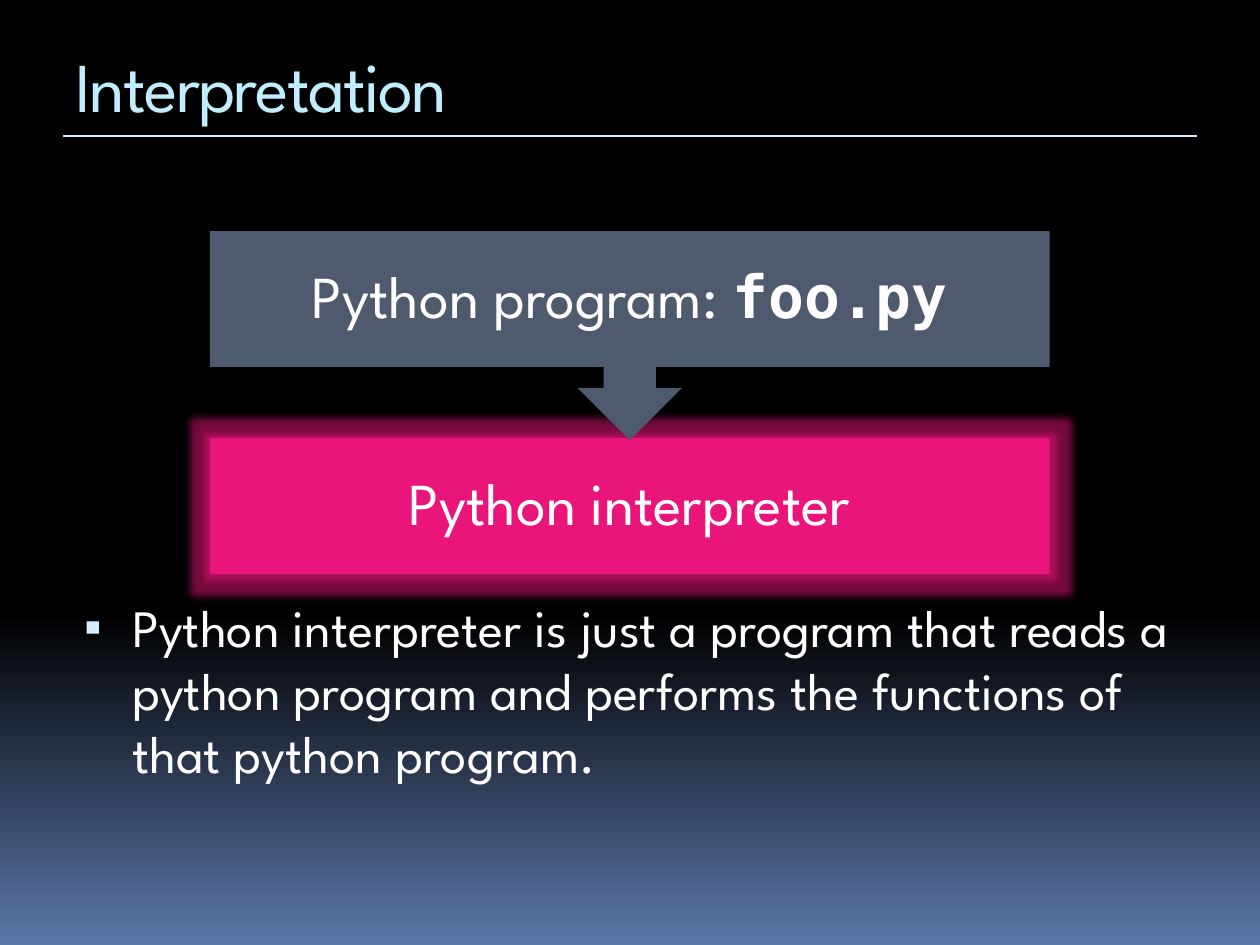
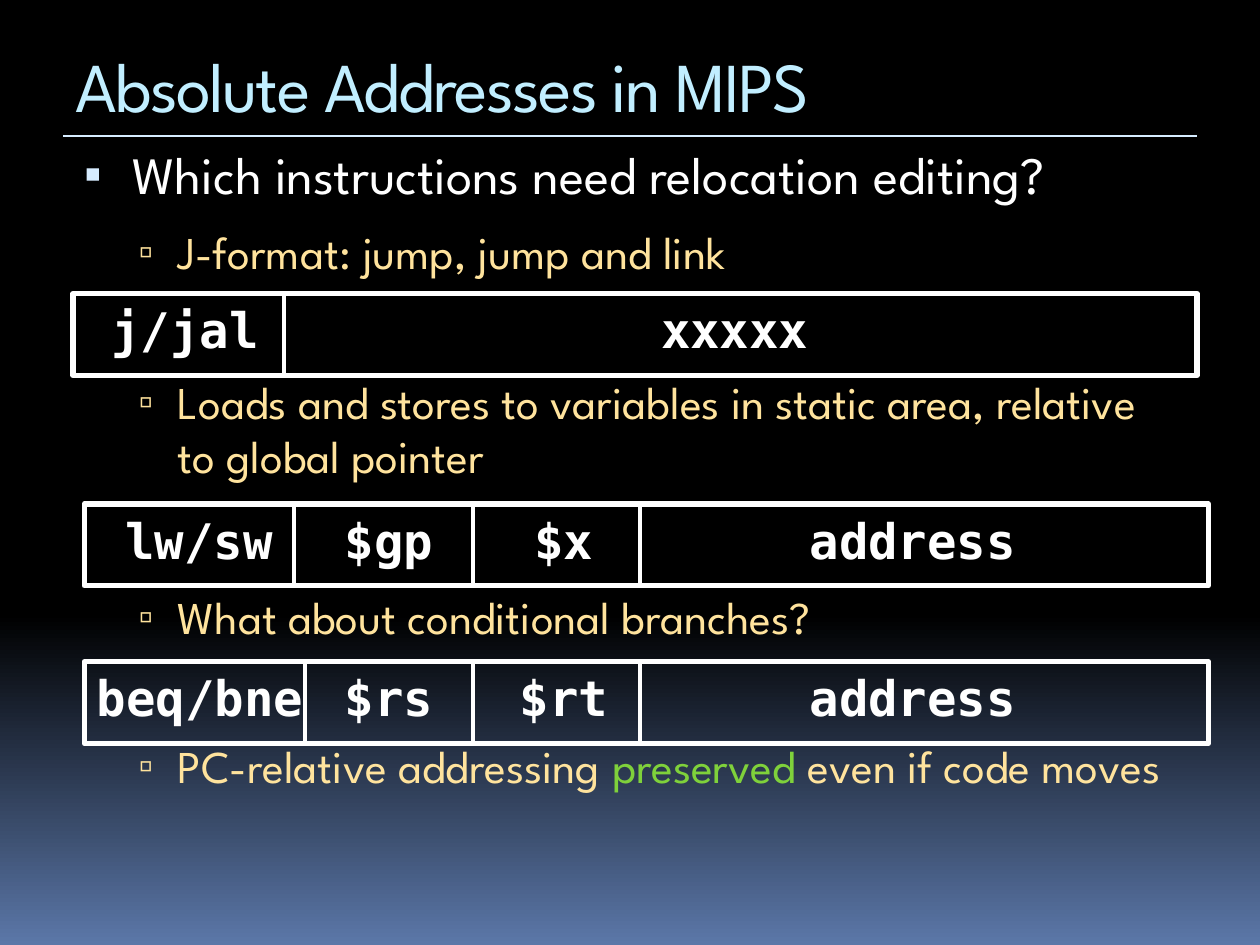
import pptx
import pptx.util
import pptx.dml.color
import pptx.enum.shapes
import pptx.enum.text
import pptx.oxml
import pptx.oxml.ns
import lxml.etree

Cm = pptx.util.Cm
Pt = pptx.util.Pt
RGB = pptx.dml.color.RGBColor
qn = pptx.oxml.ns.qn
SHAPE = pptx.enum.shapes.MSO_SHAPE
MIDDLE = pptx.enum.text.MSO_ANCHOR.MIDDLE
CENTER = pptx.enum.text.PP_ALIGN.CENTER
NO_FIT = pptx.enum.text.MSO_AUTO_SIZE.NONE

BLACK = RGB(0x00, 0x00, 0x00)
WHITE = RGB(0xFF, 0xFF, 0xFF)
BLUE = RGB(0x5B, 0x77, 0xA8)
PALE = RGB(0xD6, 0xEC, 0xFF)
SKY = RGB(0xC1, 0xEE, 0xFF)
CREAM = RGB(0xFF, 0xE3, 0x9D)
GREEN = RGB(0x7F, 0xD1, 0x3B)
PINK = RGB(0xEA, 0x15, 0x7A)
SLATE = RGB(0x4E, 0x5B, 0x6F)
SANS = "League Spartan"
MONO = "DejaVu Sans Mono"


def write(para, text, size=30, color=WHITE, font=SANS, bold=False, track=0):
    """Add a formatted run of text to a paragraph."""
    run = para.add_run()
    run.text = text
    run.font.size = Pt(size)
    run.font.color.rgb = color
    run.font.name = font
    run.font.bold = bold
    if track:
        run.font._element.set("spc", str(track))


def rule(slide, start, end, color, width):
    """Draw a straight line between two points given in centimetres."""
    line = slide.shapes.add_connector(
        pptx.enum.shapes.MSO_CONNECTOR.STRAIGHT,
        Cm(start[0]), Cm(start[1]), Cm(end[0]), Cm(end[1]))
    line.line.color.rgb = color
    line.line.width = Pt(width)
    lxml.etree.SubElement(line._element.spPr, qn("a:effectLst"))


deck = pptx.Presentation()
deck.slide_width, deck.slide_height = Cm(25.4), Cm(19.05)

# The backdrop stays black for two thirds, then fades to blue.
back = deck.slide_master.background.fill
back.gradient()
back.gradient_angle = 270
for stop, place, color in zip(back.gradient_stops, (0.65, 1), (BLACK, BLUE)):
    stop.position = place
    stop.color.rgb = color

# Title, top of the body, then list items: level, space before, coloured runs.
LEFT, WIDTH = 1.27, 22.86
HEAD, FOOT = 2.74, 17.65
PAGES = [
    ("Interpretation", 11.86, [
        (0, 7, [("Python interpreter is just a program that reads a python "
                 "program and performs the functions of that python program.",
                 WHITE)]),
    ]),
    ("Absolute Addresses in MIPS", HEAD, [
        (0, 7, [("Which instructions need relocation editing?", WHITE)]),
        (1, 5, [("J-format: jump, jump and link", CREAM)]),
        (1, 48, [("Loads and stores to variables in static area, relative "
                  "to global pointer", CREAM)]),
        (1, 54.5, [("What about conditional branches?", CREAM)]),
        (1, 48, [("PC-relative addressing ", CREAM), ("preserved ", GREEN),
                 ("even if code moves", CREAM)]),
    ]),
]
# By level: text size, indent, hang, bullet, bullet size and bullet colour.
LEVELS = [(30, 1.14, 0.97, "▪", 95, PALE), (26, 2.06, 0.79, "▫", 90, CREAM)]

for name, top, items in PAGES:
    slide = deck.slides.add_slide(deck.slide_layouts[1])
    rule(slide, (LEFT, HEAD), (LEFT + WIDTH, HEAD), PALE, 1.5)

    title = slide.shapes.title
    title.left, title.top = Cm(LEFT), Cm(0.64)
    title.width, title.height = Cm(WIDTH), Cm(2.11)
    title.text_frame.vertical_anchor = MIDDLE
    title.text_frame.auto_size = NO_FIT
    para = title.text_frame.paragraphs[0]
    para.alignment = pptx.enum.text.PP_ALIGN.LEFT
    write(para, name, size=40, color=SKY, track=-100)

    body = slide.placeholders[1]
    body.left, body.top = Cm(LEFT), Cm(top)
    body.width, body.height = Cm(WIDTH), Cm(FOOT - top)
    frame = body.text_frame
    frame.auto_size = NO_FIT
    for index, (level, gap, runs) in enumerate(items):
        para = frame.add_paragraph() if index else frame.paragraphs[0]
        size, indent, hang, mark, scale, tint = LEVELS[level]
        para.level = level
        para.space_before, para.space_after = Pt(gap), Pt(6)
        props = para._element.get_or_add_pPr()
        props.set("marL", str(Cm(indent)))
        props.set("indent", str(-Cm(hang)))
        shade = lxml.etree.SubElement(props, qn("a:buClr"))
        lxml.etree.SubElement(shade, qn("a:srgbClr"), val=str(tint))
        lxml.etree.SubElement(props, qn("a:buSzPct"), val=str(scale * 1000))
        lxml.etree.SubElement(props, qn("a:buFont"), typeface="Arial")
        lxml.etree.SubElement(props, qn("a:buChar"), char=mark)
        for text, color in runs:
            write(para, text, size=size, color=color)

first, second = deck.slides

# Slide 1: the program flows down into the glowing interpreter.
BOX_X, BOX_W, BOX_H = 4.23, 16.93, 2.74
FLOW = [
    (SHAPE.RECTANGLE, 8.83, BOX_H, PINK, [("Python interpreter", SANS)]),
    (SHAPE.UP_ARROW_CALLOUT, 4.66, 4.21, SLATE,
     [("Python program: ", SANS), ("foo.py", MONO)]),
]
for kind, top, height, color, runs in FLOW:
    step = first.shapes.add_shape(kind, Cm(BOX_X), Cm(top), Cm(BOX_W), Cm(height))
    step.shadow.inherit = False
    step.fill.solid()
    step.fill.fore_color.rgb = color
    step.line.fill.background()
    if kind == SHAPE.UP_ARROW_CALLOUT:
        step.rotation = 180
    else:
        effect = step._element.spPr.find(qn("a:effectLst"))
        glow = lxml.etree.SubElement(effect, qn("a:glow"), rad=str(Cm(0.28)))
        shade = lxml.etree.SubElement(glow, qn("a:srgbClr"), val=str(color))
        lxml.etree.SubElement(shade, qn("a:alpha"), val="50000")

    label = first.shapes.add_textbox(Cm(BOX_X), Cm(top), Cm(BOX_W), Cm(BOX_H))
    label.text_frame.word_wrap = True
    label.text_frame.vertical_anchor = MIDDLE
    para = label.text_frame.paragraphs[0]
    para.alignment = CENTER
    para.line_spacing = 0.9
    for text, font in runs:
        write(para, text, size=34, font=font, bold=font == MONO)

# Slide 2: instruction formats as left, top, dividers and (label, centre).
ROW_W, ROW_H = 22.66, 1.65
FORMATS = [
    (1.47, 5.92, [5.72], [("j/jal", 3.73), ("xxxxx", 14.81)]),
    (1.7, 10.16, [5.92, 9.53, 12.9],
     [("lw/sw", 4.01), ("$gp", 7.84), ("$x", 11.37), ("address", 18.4)]),
    (1.7, 13.34, [6.15, 9.53, 12.9],
     [("beq/bne", 4.03), ("$rs", 7.84), ("$rt", 11.37), ("address", 18.4)]),
]
for left, top, splits, fields in FORMATS:
    for text, mid in fields:
        wide = 0.6 * len(text) + 0.5
        field = second.shapes.add_textbox(
            Cm(mid - wide / 2), Cm(top), Cm(wide), Cm(1.45))
        field.text_frame.word_wrap = False
        para = field.text_frame.paragraphs[0]
        para.alignment = CENTER
        write(para, text, size=28, font=MONO, bold=True)
    edge = second.shapes.add_shape(
        SHAPE.RECTANGLE, Cm(left), Cm(top), Cm(ROW_W), Cm(ROW_H))
    edge.shadow.inherit = False
    edge.fill.background()
    edge.line.color.rgb = WHITE
    edge.line.width = Pt(3)
    for split in splits:
        rule(second, (split, top), (split, top + ROW_H), WHITE, 2.25)

deck.save("out.pptx")
